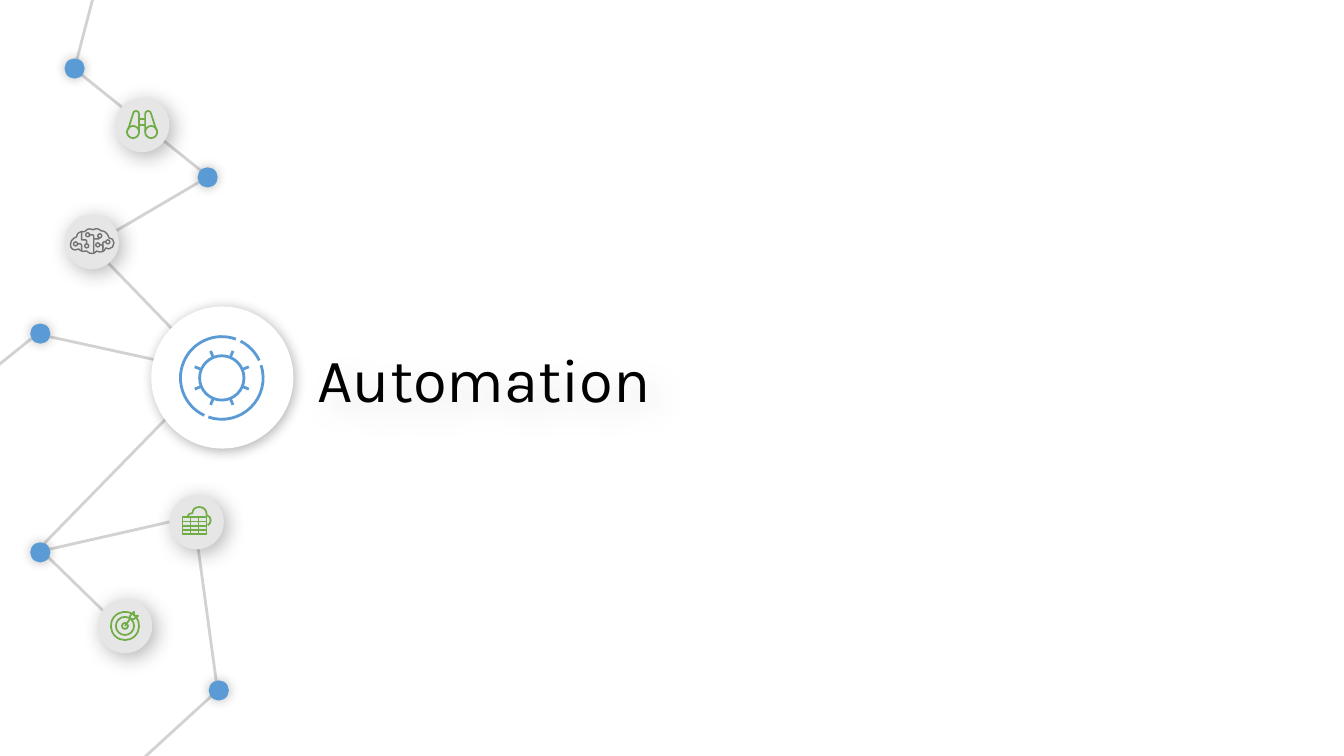
"""Build the Automation section slide with its network of icon badges."""
from dataclasses import dataclass
from math import ceil, cos, radians, sin, tan

from lxml.etree import SubElement
from pptx import Presentation
from pptx.dml.color import RGBColor
from pptx.enum.shapes import MSO_CONNECTOR, MSO_SHAPE
from pptx.oxml.ns import qn
from pptx.util import Inches, Pt

Point = tuple[float, float]
Stroke = list[Point]
GREEN, BLUE, GRAY, LINK = "70AD47", "5B9BD5", "737373", "D2D2D2"
BADGE_FILL, WHITE, BLACK = "E7E6E6", "FFFFFF", "000000"


@dataclass(frozen=True)
class Shadow:
    opacity: int
    blur: float
    distance: float
    angle: int


@dataclass(frozen=True)
class Badge:
    left: float
    top: float
    size: float
    fill: str
    shadow: Shadow
    icon_color: str
    icon_width: float
    strokes: list[Stroke]
    grouped: bool = True


BADGE_SHADOW = Shadow(30, 15, 4, 45)
HUB_SHADOW = Shadow(30, 9, 2, 45)
DOT_SHADOW = Shadow(27, 8, 0, 0)
TITLE_SHADOW = Shadow(11, 22, 12, 45)

LINKS: list[tuple[Point, Point]] = [
    ((0.31, 3.36), (-0.1, 3.69)), ((2.09, 3.69), (0.49, 3.34)),
    ((2.18, 6.83), (1.25, 7.68)), ((1.93, 5.18), (2.17, 6.94)),
    ((0.91, 2.44), (2.09, 3.66)), ((0.44, 5.49), (1.28, 6.31)),
    ((0.44, 5.46), (1.85, 5.14)), ((2.09, 3.7), (0.44, 5.39)),
    ((1.97, 1.81), (0.93, 2.42)), ((0.77, 0.71), (2.04, 1.73)),
    ((0.75, 0.64), (0.93, -0.05)),
]
DOTS: list[Point] = [(1.96, 1.66), (2.07, 6.75), (0.64, 0.58), (0.3, 5.38), (0.3, 3.21)]


def color(value: str) -> RGBColor:
    """Turn a hex string into a colour."""
    return RGBColor.from_string(value)


def arc(center: Point, radius: float, start: float = 0, end: float = 360) -> Stroke:
    """Return the cubic points of an arc; angles run clockwise from the right."""
    pieces = ceil(abs(end - start) / 90)
    step = radians(end - start) / pieces
    reach = radius * tan(step / 4) * 4 / 3
    points: Stroke = []
    for piece in range(pieces + 1):
        angle = radians(start) + piece * step
        x, y = center[0] + radius * cos(angle), center[1] + radius * sin(angle)
        points += [(x + side * reach * -sin(angle), y + side * reach * cos(angle))
                   for side in (-1, 0, 1)]
    return points[1:-1]


def straight(*corners: Point) -> Stroke:
    """Return the cubic points of a chain of straight lines."""
    return [corners[0], *(corner for corner in corners[1:] for _ in range(3))]


def binoculars() -> list[Stroke]:
    """Return the two mirrored barrels and the bridge."""
    barrel = [*straight((1.38, 1.31), (1.38, 1.13)), *arc((1.35, 1.13), 0.03, 0, -180)[1:],
              *straight((1.32, 1.13), (1.27, 1.29))[1:]]
    strokes = [straight((1.38, y), (1.44, y)) for y in (1.18, 1.24)]
    for half in (arc((1.32, 1.31), 0.06), barrel):
        strokes += [half, [(2.82 - x, y) for x, y in half]]
    return strokes


def gear() -> list[Stroke]:
    """Return the broken ring, the wheel and its eight teeth."""
    center = (2.2, 3.75)
    strokes = [arc(center, 0.22)]
    strokes += [arc(center, 0.41, *span) for span in ((-70, -245), (109, -18), (-25, -63))]
    for tooth in range(8):
        angle = radians(22.5 + 45 * tooth)
        strokes.append(straight(*((center[0] + r * cos(angle), center[1] + r * sin(angle))
                                  for r in (0.29, 0.22))))
    return strokes


def target() -> list[Stroke]:
    """Return the rings and the arrow."""
    center = (1.24, 6.21)
    return [arc(center, 0.14, -39, 304), arc(center, 0.09), arc(center, 0.03),
            straight(center, (1.29, 6.14)),
            straight((1.37, 6.11), (1.33, 6.11), (1.33, 6.07), (1.29, 6.11),
                     (1.29, 6.14), (1.33, 6.14), (1.37, 6.11))]


def brain() -> list[Stroke]:
    """Return the outline, the circuit traces and the nodes."""
    nodes = [(1.07, 2.4), (0.97, 2.43), (0.87, 2.33), (0.99, 2.34), (0.86, 2.44), (0.75, 2.42)]
    outline = [
        (1.05, 2.46), (1.06, 2.46), (1.07, 2.47), (1.08, 2.47), (1.11, 2.47), (1.13, 2.44),
        (1.13, 2.41), (1.13, 2.38), (1.11, 2.36), (1.08, 2.36), (1.08, 2.36), (1.07, 2.29),
        (1, 2.29), (1, 2.29), (0.97, 2.25), (0.92, 2.28), (0.92, 2.28), (0.87, 2.25),
        (0.84, 2.3), (0.84, 2.3), (0.77, 2.28), (0.76, 2.35), (0.76, 2.35), (0.7, 2.37),
        (0.7, 2.42), (0.69, 2.46), (0.73, 2.5), (0.78, 2.47), (0.78, 2.47), (0.81, 2.51),
        (0.86, 2.49), (0.86, 2.49), (0.91, 2.55), (0.96, 2.49), (0.96, 2.49), (1.02, 2.53),
        (1.05, 2.46)]
    traces = [
        straight((0.81, 2.49), (0.81, 2.43), (0.8, 2.42), (0.77, 2.42)),
        straight((0.93, 2.51), (0.93, 2.34), (0.92, 2.33), (0.88, 2.33)),
        straight((0.93, 2.37), (0.98, 2.37), (0.99, 2.36), (0.99, 2.35)),
        straight((0.81, 2.3), (0.81, 2.38), (0.85, 2.38), (0.86, 2.39), (0.86, 2.42)),
        straight((1.05, 2.4), (1.03, 2.4), (1.02, 2.41), (1.02, 2.46)),
        straight((1.02, 2.49), (1.02, 2.44), (1.01, 2.43), (0.99, 2.43))]
    return [outline, *traces, *(arc(node, 0.02) for node in nodes)]


CLOUD: Stroke = [
    (1.86, 5.12), (1.87, 5.1), (1.89, 5.09), (1.91, 5.09), (1.91, 5.05), (1.94, 5.03),
    (1.98, 5.03), (2.02, 5.03), (2.05, 5.06), (2.05, 5.1), (2.05, 5.1), (2.05, 5.11),
    (2.05, 5.11), (2.08, 5.12), (2.09, 5.14), (2.09, 5.16), (2.09, 5.19), (2.08, 5.2),
    (2.06, 5.21)]
SHEET_BADGE = Badge(1.68, 4.91, 0.54, BADGE_FILL, BADGE_SHADOW, GREEN, 1.25, [CLOUD])
BADGES = [
    Badge(1.14, 0.97, 0.54, BADGE_FILL, BADGE_SHADOW, GREEN, 1.25, binoculars()),
    SHEET_BADGE,
    Badge(1.5, 3.04, 1.41, WHITE, HUB_SHADOW, BLUE, 2, gear()),
    Badge(0.97, 5.94, 0.54, BADGE_FILL, BADGE_SHADOW, GREEN, 1.25, target()),
    Badge(0.64, 2.13, 0.54, BADGE_FILL, BADGE_SHADOW, GRAY, 1, brain(), grouped=False),
]


def add_shadow(shape, shadow: Shadow) -> None:
    """Give a shape a soft black outer shadow."""
    shape.shadow.inherit = False
    effects = shape._element.spPr.find(qn("a:effectLst"))
    outer = SubElement(effects, qn("a:outerShdw"), blurRad=str(Pt(shadow.blur)),
                       dist=str(Pt(shadow.distance)), dir=str(shadow.angle * 60000),
                       algn="ctr", rotWithShape="0")
    tint = SubElement(outer, qn("a:srgbClr"), val=BLACK)
    SubElement(tint, qn("a:alpha"), val=str(shadow.opacity * 1000))


def add_line(shapes, start: Point, end: Point, line_color: str, width: float) -> None:
    """Draw a straight line without a shadow."""
    line = shapes.add_connector(MSO_CONNECTOR.STRAIGHT, *map(Inches, (*start, *end)))
    line.line.color.rgb = color(line_color)
    line.line.width = Pt(width)
    SubElement(line._element.spPr, qn("a:effectLst"))


def add_disc(shapes, left: float, top: float, size: float, fill: str, shadow: Shadow) -> None:
    """Draw a filled circle with a shadow."""
    disc = shapes.add_shape(MSO_SHAPE.OVAL, *map(Inches, (left, top, size, size)))
    disc.fill.solid()
    disc.fill.fore_color.rgb = color(fill)
    disc.line.fill.background()
    add_shadow(disc, shadow)


def outline_only(shape, line_color: str, width: float) -> None:
    """Leave a shape with nothing but its outline."""
    shape.fill.background()
    shape.line.color.rgb = color(line_color)
    shape.line.width = Pt(width)
    shape.shadow.inherit = False


def add_sheet(shapes) -> None:
    """Draw the spreadsheet grid under the cloud."""
    left, top, width, height = 1.81, 5.13, 0.24, 0.17
    sheet = shapes.add_shape(MSO_SHAPE.RECTANGLE, *map(Inches, (left, top, width, height)))
    outline_only(sheet, GREEN, 1.25)
    for x in (left + width * third / 3 for third in (1, 2)):
        add_line(shapes, (x, top), (x, top + height), GREEN, 1.25)
    for y in (top + height * quarter / 4 for quarter in (1, 2, 3)):
        add_line(shapes, (left, y), (left + width, y), GREEN, 1.25)


def add_icon(shapes, strokes: list[Stroke]):
    """Draw strokes as one outline, each three points forming a cubic curve."""
    builder = shapes.build_freeform(*map(Inches, strokes[0][0]))
    for index, stroke in enumerate(strokes):
        points = [(Inches(x), Inches(y)) for x, y in stroke]
        if index:
            builder.move_to(*points[0])
        closed = max(abs(a - b) for a, b in zip(points[0], points[-1])) < 9
        builder.add_line_segments(points[1:], close=closed)
    icon = builder.convert_to_shape()
    segments = list(icon._element.iter(qn("a:lnTo")))
    for first, second, third in zip(segments[::3], segments[1::3], segments[2::3]):
        cubic = first.makeelement(qn("a:cubicBezTo"))
        first.addprevious(cubic)
        for segment in (first, second, third):
            cubic.append(segment[0])
            segment.getparent().remove(segment)
    return icon


def add_badge(slide, badge: Badge) -> None:
    """Draw a disc with its line icon."""
    shapes = slide.shapes.add_group_shape().shapes if badge.grouped else slide.shapes
    add_disc(shapes, badge.left, badge.top, badge.size, badge.fill, badge.shadow)
    if badge is SHEET_BADGE:
        add_sheet(shapes)
    outline_only(add_icon(shapes, badge.strokes), badge.icon_color, badge.icon_width)


def add_title(slide) -> None:
    """Place the section title."""
    title = slide.shapes.add_textbox(*map(Inches, (3.05, 3.28, 5.56, 0.94)))
    frame = title.text_frame
    frame.word_wrap = True
    frame.margin_left = frame.margin_right = frame.margin_top = frame.margin_bottom = Inches(0.1)
    paragraph = frame.paragraphs[0]
    paragraph.text = "Automation"
    paragraph.font.name = "Karla"
    paragraph.font.size = Pt(44)
    paragraph.font.color.rgb = color(BLACK)
    add_shadow(title, TITLE_SHADOW)


def main() -> None:
    """Build and save the slide."""
    presentation = Presentation()
    presentation.slide_width, presentation.slide_height = Inches(13.33), Inches(7.5)
    slide = presentation.slides.add_slide(presentation.slide_layouts[6])
    for start, end in LINKS:
        add_line(slide.shapes, start, end, LINK, 2)
    add_title(slide)
    for left, top in DOTS:
        add_disc(slide.shapes, left, top, 0.2, BLUE, DOT_SHADOW)
    for badge in BADGES:
        add_badge(slide, badge)
    presentation.save("out.pptx")


if __name__ == "__main__":
    main()
